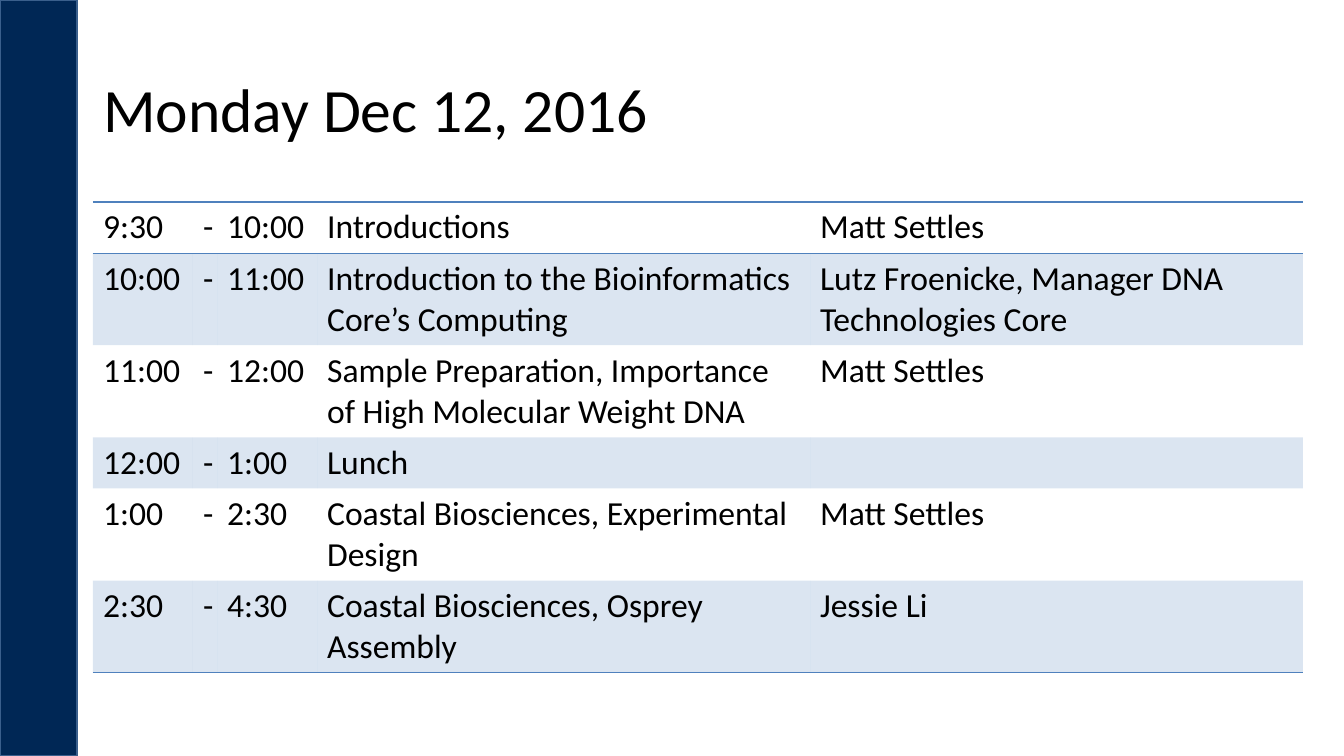
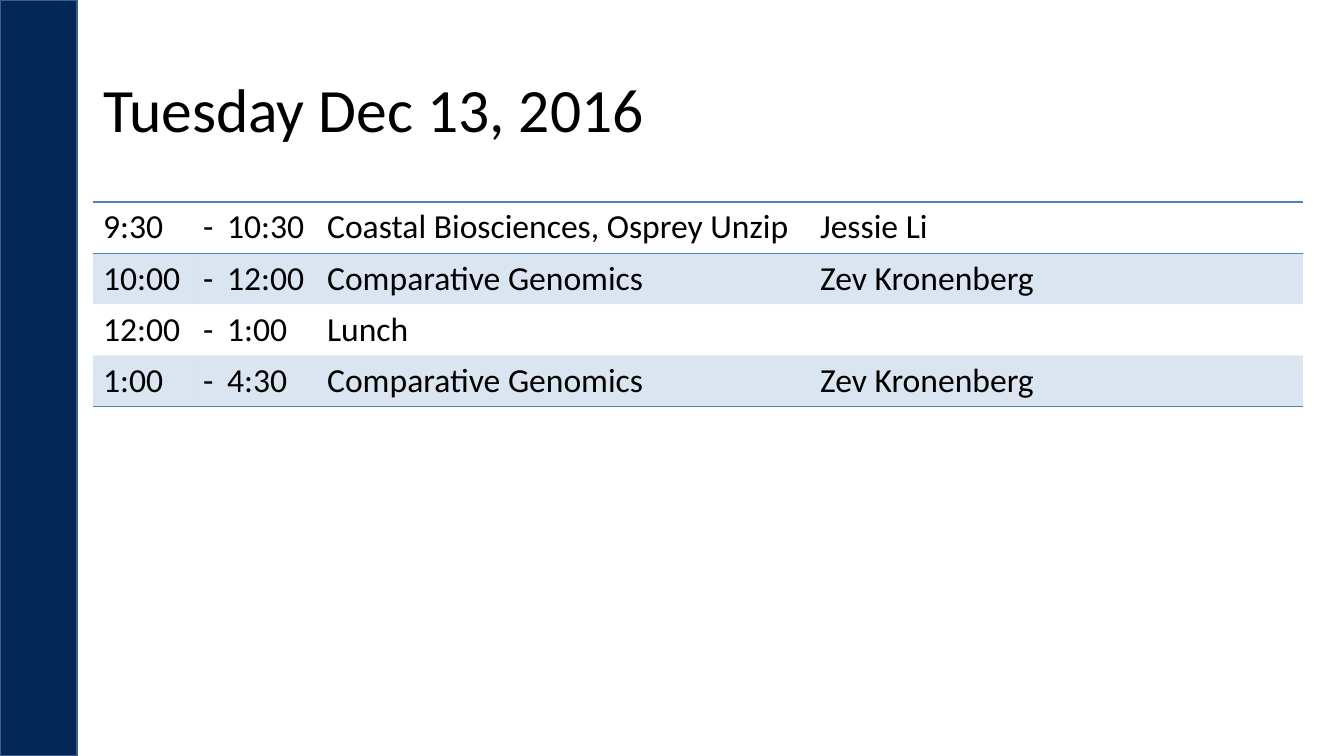
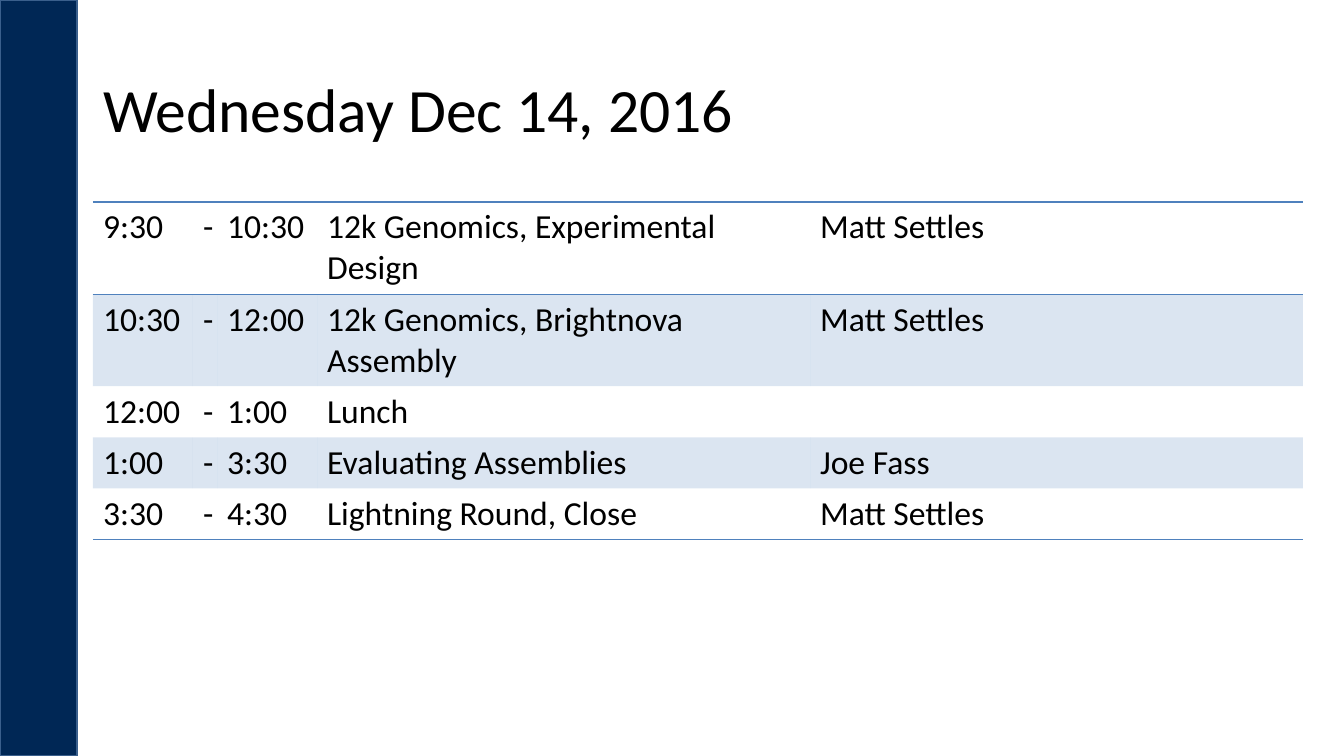
"""Build a three-day workshop schedule, one table slide per day."""
from lxml.etree import SubElement
from pptx import Presentation
from pptx.dml.color import RGBColor
from pptx.enum.shapes import MSO_SHAPE
from pptx.enum.text import MSO_ANCHOR, PP_ALIGN
from pptx.oxml import parse_xml
from pptx.oxml.ns import nsdecls, qn
from pptx.util import Pt

SCALE = 914400 / 100.8
FONT = "Calibri"
NAVY, BAR_EDGE, ACCENT, BLACK = "002755", "3A5F8C", "4F81BD", "000000"
NO_TABLE_STYLE = "{2D5ABB26-0587-4C30-8999-92F81FD0307C}"
LEFT, TABLE_TOP = 93, 202
COLUMN_WIDTHS = [100, 23, 100, 493, 493]
ROW_HEIGHTS = {1: 51, 2: 92}

DAYS = [
    ("Monday Dec 12, 2016", [
        ("9:30", "10:00", "Introductions", "Matt Settles", 1),
        ("10:00", "11:00", "Introduction to the Bioinformatics Core’s Computing",
         "Lutz Froenicke, Manager DNA Technologies Core", 2),
        ("11:00", "12:00", "Sample Preparation, Importance of High Molecular Weight DNA",
         "Matt Settles", 2),
        ("12:00", "1:00", "Lunch", "", 1),
        ("1:00", "2:30", "Coastal Biosciences, Experimental Design", "Matt Settles", 2),
        ("2:30", "4:30", "Coastal Biosciences, Osprey Assembly", "Jessie Li", 2),
    ]),
    ("Tuesday Dec 13, 2016", [
        ("9:30", "10:30", "Coastal Biosciences, Osprey Unzip", "Jessie Li", 1),
        ("10:00", "12:00", "Comparative Genomics", "Zev Kronenberg", 1),
        ("12:00", "1:00", "Lunch", "", 1),
        ("1:00", "4:30", "Comparative Genomics", "Zev Kronenberg", 1),
    ]),
    ("Wednesday Dec 14, 2016", [
        ("9:30", "10:30", "12k Genomics, Experimental Design", "Matt Settles", 2),
        ("10:30", "12:00", "12k Genomics, Brightnova Assembly", "Matt Settles", 2),
        ("12:00", "1:00", "Lunch", "", 1),
        ("1:00", "3:30", "Evaluating Assemblies", "Joe Fass", 1),
        ("3:30", "4:30", "Lightning Round, Close", "Matt Settles", 1),
    ]),
]


def px(*lengths):
    return [round(length * SCALE) for length in lengths]


def add_run(paragraph, text, size):
    run = paragraph.add_run()
    run.text = text
    run.font.name = FONT
    run.font.size = Pt(size)
    run.font.color.rgb = RGBColor.from_string(BLACK)


presentation = Presentation()
presentation.slide_width, presentation.slide_height = px(1344, 756)
layout = presentation.slide_layouts[5]
slides = [presentation.slides.add_slide(layout) for day in DAYS]

layout_title = layout.placeholders[0]
layout_title.left, layout_title.top, layout_title.width, layout_title.height = px(LEFT, 40, 1159, 146)
layout_title.text_frame.vertical_anchor = MSO_ANCHOR.MIDDLE

side_bar = slides[0].shapes.add_shape(MSO_SHAPE.RECTANGLE, *px(0, 0, 77, 756))
side_bar.shadow.inherit = False
side_bar.fill.solid()
side_bar.fill.fore_color.rgb = RGBColor.from_string(NAVY)
side_bar.line.color.rgb = RGBColor.from_string(BAR_EDGE)
side_bar.line.width = Pt(1)
side_bar.element.nvSpPr.cNvPr.set("id", "20")
layout.shapes.element.insert(2, side_bar.element)

for slide, (heading, sessions) in zip(slides, DAYS):
    paragraph = slide.shapes.title.text_frame.paragraphs[0]
    paragraph.alignment = PP_ALIGN.LEFT
    paragraph.line_spacing = 0.9
    add_run(paragraph, heading, 44)

    heights = [ROW_HEIGHTS[session[-1]] for session in sessions]
    frame = slide.shapes.add_table(
        len(sessions), len(COLUMN_WIDTHS),
        *px(LEFT, TABLE_TOP, sum(COLUMN_WIDTHS), sum(heights)))
    frame.element.find(".//" + qn("a:tableStyleId")).text = NO_TABLE_STYLE
    table = frame.table
    table.first_row = table.horz_banding = False
    for column, width in zip(table.columns, px(*COLUMN_WIDTHS)):
        column.width = width
    for row, height in zip(table.rows, px(*heights)):
        row.height = height

    for row_index, (start, end, topic, speaker, lines) in enumerate(sessions):
        edges = ["lnT"] if row_index == 0 else []
        if row_index in (0, len(sessions) - 1):
            edges.append("lnB")
        for column_index, text in enumerate((start, "-", end, topic, speaker)):
            cell = table.cell(row_index, column_index)
            if text:
                add_run(cell.text_frame.paragraphs[0], text, 24)
            if row_index % 2:
                cell.fill.solid()
                cell.fill.fore_color.rgb = RGBColor.from_string(ACCENT)
                color = cell._tc.tcPr.find(".//" + qn("a:srgbClr"))
                SubElement(color, qn("a:alpha")).set("val", "20000")
            else:
                cell.fill.background()
            for position, edge in enumerate(edges):
                cell._tc.tcPr.insert(position, parse_xml(
                    f'<a:{edge} {nsdecls("a")} w="12700"><a:solidFill>'
                    f'<a:srgbClr val="{ACCENT}"/></a:solidFill></a:{edge}>'))

presentation.save("out.pptx")
